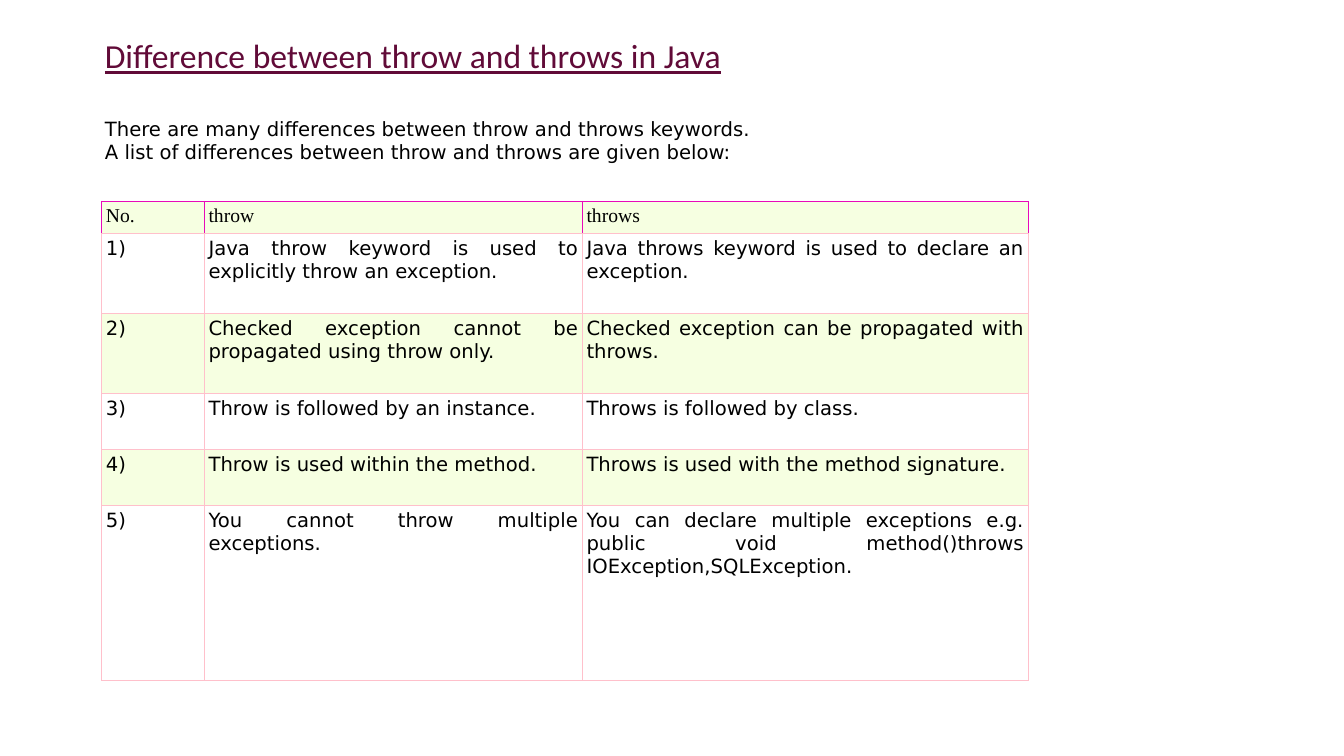
from lxml import etree
from pptx import Presentation
from pptx.dml.color import RGBColor
from pptx.enum.text import MSO_ANCHOR, MSO_AUTO_SIZE, PP_ALIGN
from pptx.oxml.ns import qn
from pptx.util import Pt

JUSTIFY = PP_ALIGN.JUSTIFY
LEFT = PP_ALIGN.LEFT
MIDDLE = MSO_ANCHOR.MIDDLE
NO_AUTOFIT = MSO_AUTO_SIZE.NONE

WHITE = RGBColor(0xFF, 0xFF, 0xFF)
BLACK = RGBColor(0x00, 0x00, 0x00)
PLUM = RGBColor(0x61, 0x0B, 0x38)
PALE_GREEN = RGBColor(0xF6, 0xFF, 0xE1)
PINK = RGBColor(0xFF, 0xC0, 0xCB)
MAGENTA = RGBColor(0xE8, 0x0A, 0xB9)

TITLE_FONT = "Calibri"
BODY_FONT = "DejaVu Sans"
HEADER_FONT = "Times New Roman"
TITLE_ONLY = 5

TITLE = "Difference between throw and throws in Java"
INTRODUCTION = [
    "There are many differences between throw and throws keywords.",
    "A list of differences between throw and throws are given below:",
]
HEADERS = ["No.", "throw", "throws"]
DIFFERENCES = [
    ("Java throw keyword is used to explicitly throw an exception.",
     "Java throws keyword is used to declare an exception."),
    ("Checked exception cannot be propagated using throw only.",
     "Checked exception can be propagated with throws."),
    ("Throw is followed by an instance.", "Throws is followed by class."),
    ("Throw is used within the method.",
     "Throws is used with the method signature."),
    ("You cannot throw multiple exceptions.",
     "You can declare multiple exceptions e.g. "
     "public void method()throws IOException,SQLException."),
]
COLUMN_WIDTHS = [73.3, 270, 318.4]
ROW_HEIGHTS = [23, 57, 57, 40, 40, 125]


def format_paragraph(paragraph, font_name, size, color, alignment=JUSTIFY):
    paragraph.alignment = alignment
    for run in paragraph.runs:
        run.font.name = font_name
        run.font.size = Pt(size)
        run.font.color.rgb = color


def place_title(slide, left, top, width, height):
    """Put the heading and the introduction below it in the title placeholder."""
    title = slide.shapes.title
    title.left, title.top = Pt(left), Pt(top)
    title.width, title.height = Pt(width), Pt(height)
    title.fill.solid()
    title.fill.fore_color.rgb = WHITE
    text_frame = title.text_frame
    text_frame.word_wrap = True
    text_frame.auto_size = NO_AUTOFIT
    text_frame.vertical_anchor = MIDDLE
    text_frame.text = "\n".join([TITLE] + INTRODUCTION)
    heading, *introduction = text_frame.paragraphs
    format_paragraph(heading, TITLE_FONT, 24, PLUM)
    heading.runs[0].font.underline = True
    for paragraph in introduction:
        format_paragraph(paragraph, BODY_FONT, 14, BLACK)
    introduction[0].space_before = Pt(29.3)


def set_borders(cell, colors):
    """Draw 0.75 pt borders; colors are ordered left, right, top, bottom."""
    properties = cell._tc.get_or_add_tcPr()
    for side, color in zip("LRTB", colors):
        line = etree.SubElement(properties, qn(f"a:ln{side}"), w=str(Pt(0.75)))
        fill = etree.SubElement(line, qn("a:solidFill"))
        etree.SubElement(fill, qn("a:srgbClr"), val=str(color))


def fill_cell(cell, text, is_header, background):
    side_color = MAGENTA if is_header else PINK
    set_borders(cell, [side_color, side_color, side_color, PINK])
    cell.fill.solid()
    cell.fill.fore_color.rgb = background
    cell.margin_left = cell.margin_right = Pt(3)
    cell.margin_top = cell.margin_bottom = Pt(3)
    cell.text_frame.text = text
    font_name = HEADER_FONT if is_header else BODY_FONT
    alignment = LEFT if is_header else JUSTIFY
    format_paragraph(cell.text_frame.paragraphs[0], font_name, 14, BLACK, alignment)


def add_differences_table(slide, left, top):
    rows = [HEADERS] + [
        (f"{number})", *pair) for number, pair in enumerate(DIFFERENCES, start=1)
    ]
    table = slide.shapes.add_table(
        len(rows), len(HEADERS), Pt(left), Pt(top),
        Pt(sum(COLUMN_WIDTHS)), Pt(sum(ROW_HEIGHTS)),
    ).table
    table.horz_banding = False
    for column, width in zip(table.columns, COLUMN_WIDTHS):
        column.width = Pt(width)
    for row_index, (row, height) in enumerate(zip(rows, ROW_HEIGHTS)):
        table.rows[row_index].height = Pt(height)
        background = WHITE if row_index % 2 else PALE_GREEN
        for column_index, text in enumerate(row):
            cell = table.cell(row_index, column_index)
            fill_cell(cell, text, row_index == 0, background)


def main():
    presentation = Presentation()
    presentation.slide_width = Pt(960)
    presentation.slide_height = Pt(540)
    slide = presentation.slides.add_slide(presentation.slide_layouts[TITLE_ONLY])
    place_title(slide, 67.7, 21.3, 579, 99.4)
    add_differences_table(slide, 72.7, 143.8)
    presentation.save("out.pptx")


if __name__ == "__main__":
    main()
